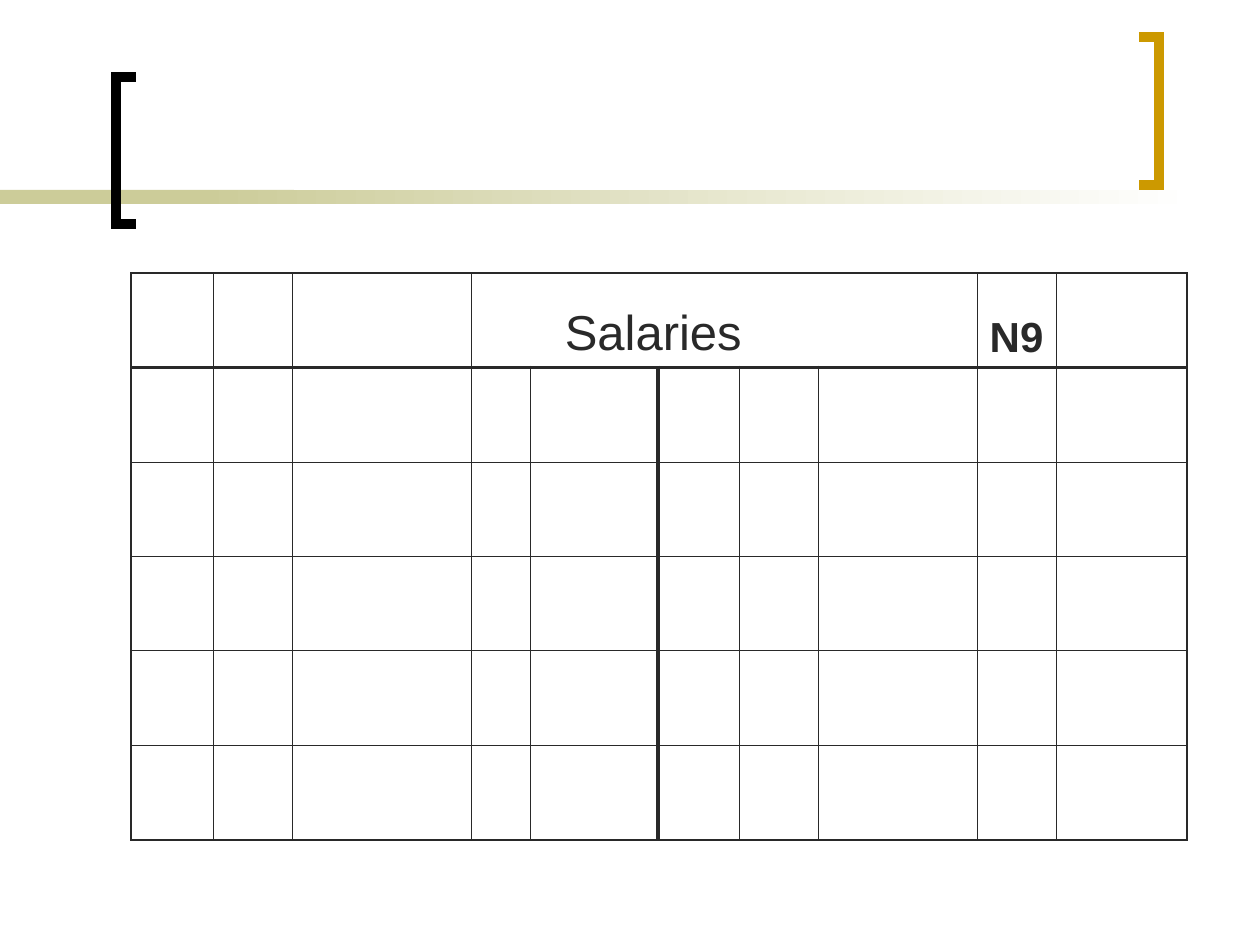
"""Build a slide with a bracketed title band and a blank salaries ledger."""
from lxml.etree import SubElement
from pptx import Presentation
from pptx.dml.color import RGBColor
from pptx.enum.shapes import MSO_SHAPE
from pptx.enum.text import MSO_ANCHOR
from pptx.oxml.ns import qn
from pptx.util import Pt

PX = 914400 // 126
COLORS = {"ink": "292929", "sand": "CCCC99", "white": "FFFFFF",
          "black": "000000", "gold": "CC9900"}
BANDS = [(0, 190, 294, 14, ["sand"]), (199, 190, 998, 14, ["white", "sand"])]
BRACKETS = [("black", [(136, 224), (116, 224), (116, 77), (136, 77)]),
            ("gold", [(1139, 37), (1159, 37), (1159, 185), (1139, 185)])]
LEFT, TOP, HEIGHT, ROWS = 131, 273, 567, 6
COLS = [82, 79, 179, 59, 128, 82, 79, 159, 79, 130]
THIN, EDGE, BOLD = 0.45, 1.08, 2.21
HEADS = [(3, "Salaries", {"size": 28, "inset": 94}),
         (8, "N9", {"size": 24, "bold": True})]


def rgb(name):
    return RGBColor.from_string(COLORS[name])


def write(cell, text, size=18, bold=False, inset=12, color="ink"):
    cell.vertical_anchor = MSO_ANCHOR.BOTTOM
    cell.margin_left, cell.margin_right = inset * PX, 6 * PX
    para = cell.text_frame.paragraphs[0]
    run = para.add_run()
    run.text = text
    font = run.font
    font.name, font.size, font.bold = "Arial", Pt(size), bold
    font.color.rgb = rgb(color)


def band(slide, x, y, w, h, hues):
    bar = slide.shapes.add_shape(MSO_SHAPE.RECTANGLE, x * PX, y * PX, w * PX, h * PX)
    bar.shadow.inherit = False
    bar.line.fill.background()
    if len(hues) == 1:
        bar.fill.solid()
        bar.fill.fore_color.rgb = rgb(hues[0])
        return
    bar.fill.gradient()
    bar.fill.gradient_angle = 180
    for stop, hue in zip(bar.fill.gradient_stops, hues):
        stop.color.rgb = rgb(hue)


def bracket(slide, hue, points):
    pen = slide.shapes.build_freeform(*points[0], scale=PX)
    pen.add_line_segments(points[1:], close=False)
    shape = pen.convert_to_shape()
    shape.shadow.inherit = False
    shape.fill.background()
    shape.line.color.rgb = rgb(hue)
    shape.line.width = Pt(6)
    SubElement(shape.line._ln, qn("a:miter"), lim="800000")


def border(cell, sides):
    props = cell._tc.get_or_add_tcPr()
    for side, width in zip("LRTB", sides):
        line = SubElement(props, qn(f"a:ln{side}"), w=str(Pt(width)))
        fill = SubElement(line, qn("a:solidFill"))
        SubElement(fill, qn("a:srgbClr"), val=COLORS["ink"])


def ledger(slide):
    count = len(COLS)
    frame = slide.shapes.add_table(ROWS, count, LEFT * PX, TOP * PX,
                                   sum(COLS) * PX, HEIGHT * PX)
    table = frame.table
    table.first_row = table.horz_banding = False
    for col, width in zip(table.columns, COLS):
        col.width = width * PX
    flat = [EDGE, BOLD] + [THIN] * (ROWS - 2) + [EDGE]
    for r, row in enumerate(table.rows):
        row.height = HEIGHT * PX // ROWS
        tall = [EDGE] + [THIN] * (count - 1) + [EDGE]
        if r:
            tall[5] = BOLD
        for c, cell in enumerate(row.cells):
            border(cell, (tall[c], tall[c + 1], flat[r], flat[r + 1]))
            cell.fill.background()
    table.cell(0, 3).merge(table.cell(0, 7))
    for c, text, style in HEADS:
        write(table.cell(0, c), text, **style)


def main():
    deck = Presentation()
    deck.slide_width, deck.slide_height = 1260 * PX, 945 * PX
    slide = deck.slides.add_slide(deck.slide_layouts[6])
    for item in BANDS:
        band(slide, *item)
    for item in BRACKETS:
        bracket(slide, *item)
    ledger(slide)
    deck.save("out.pptx")


if __name__ == "__main__":
    main()
